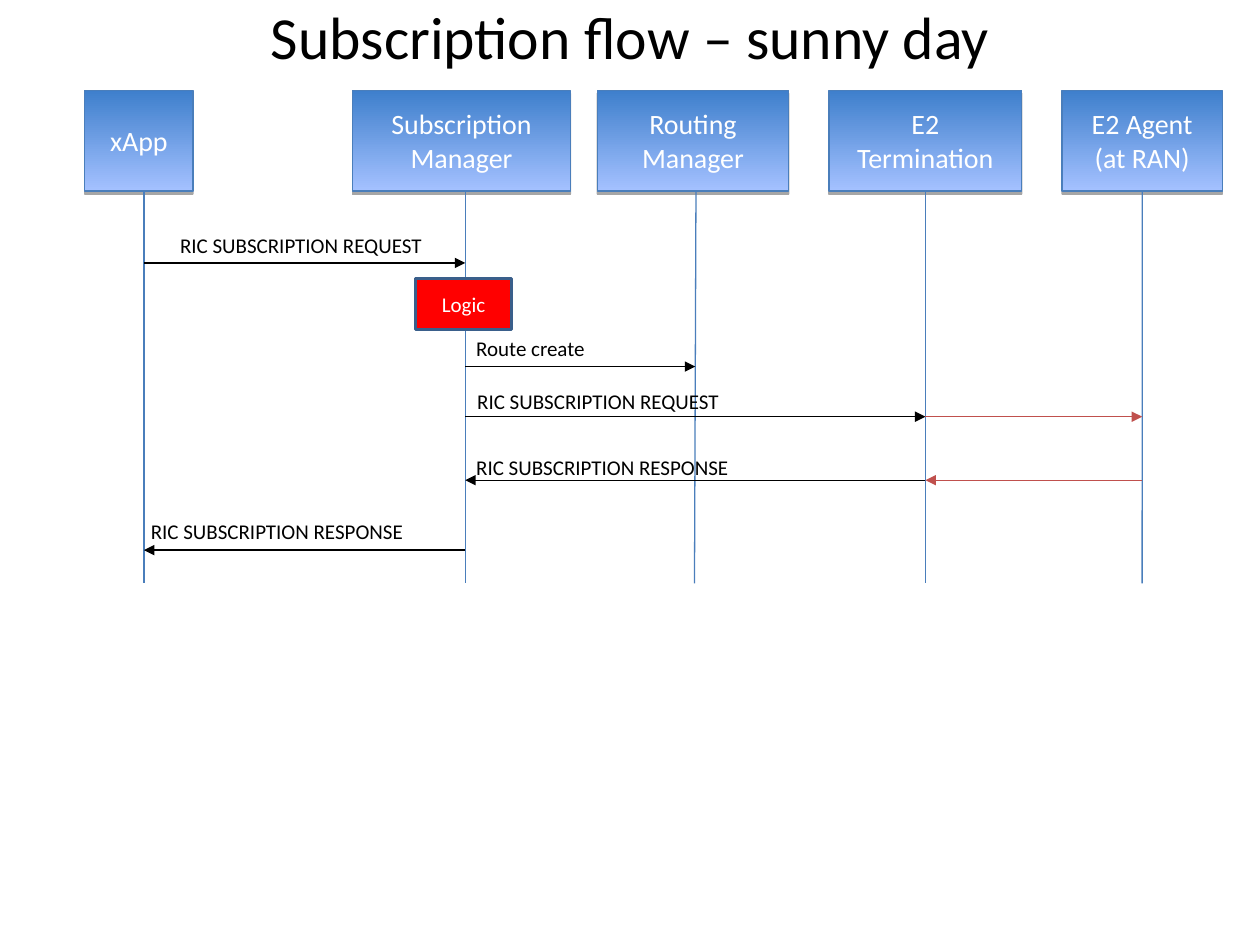
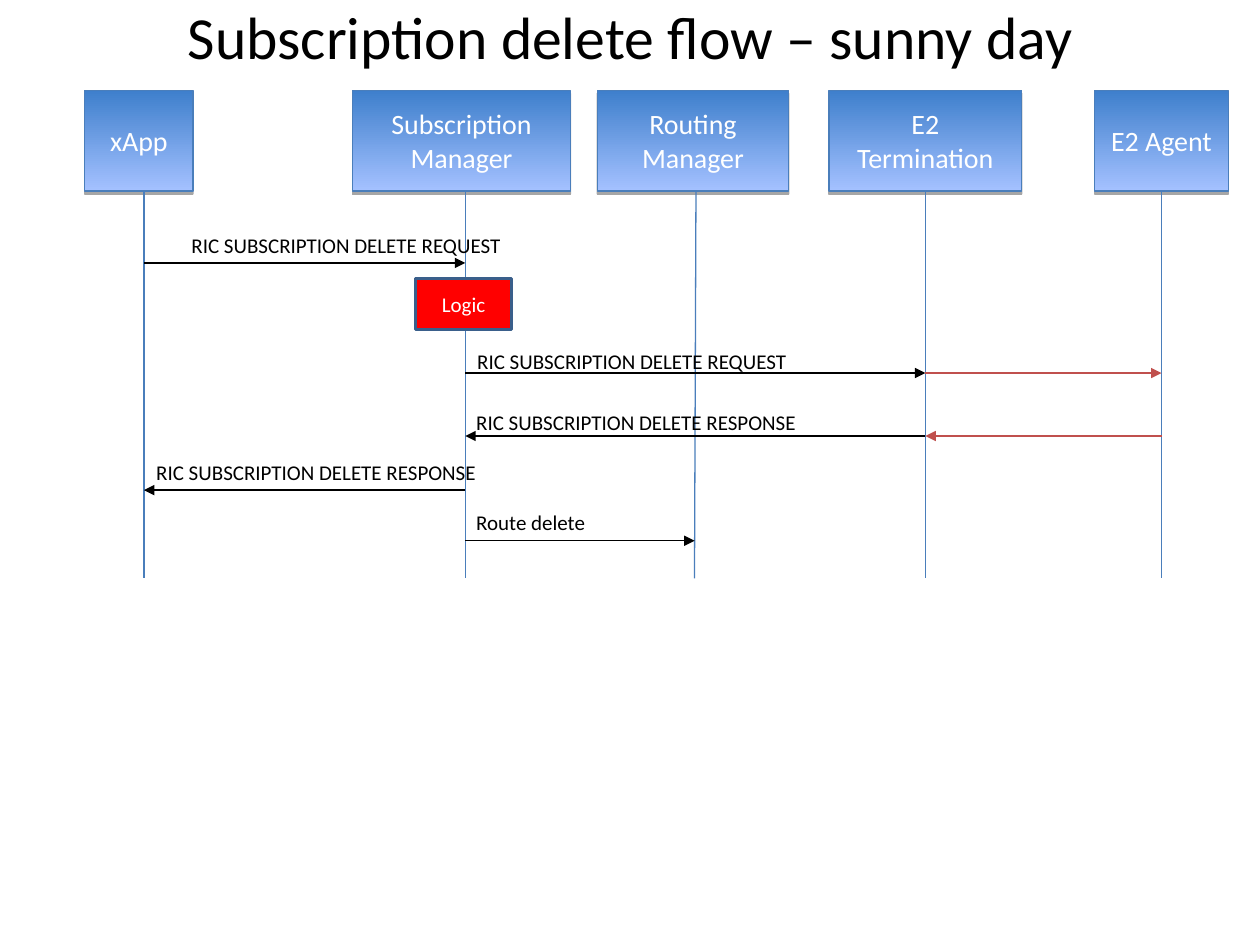
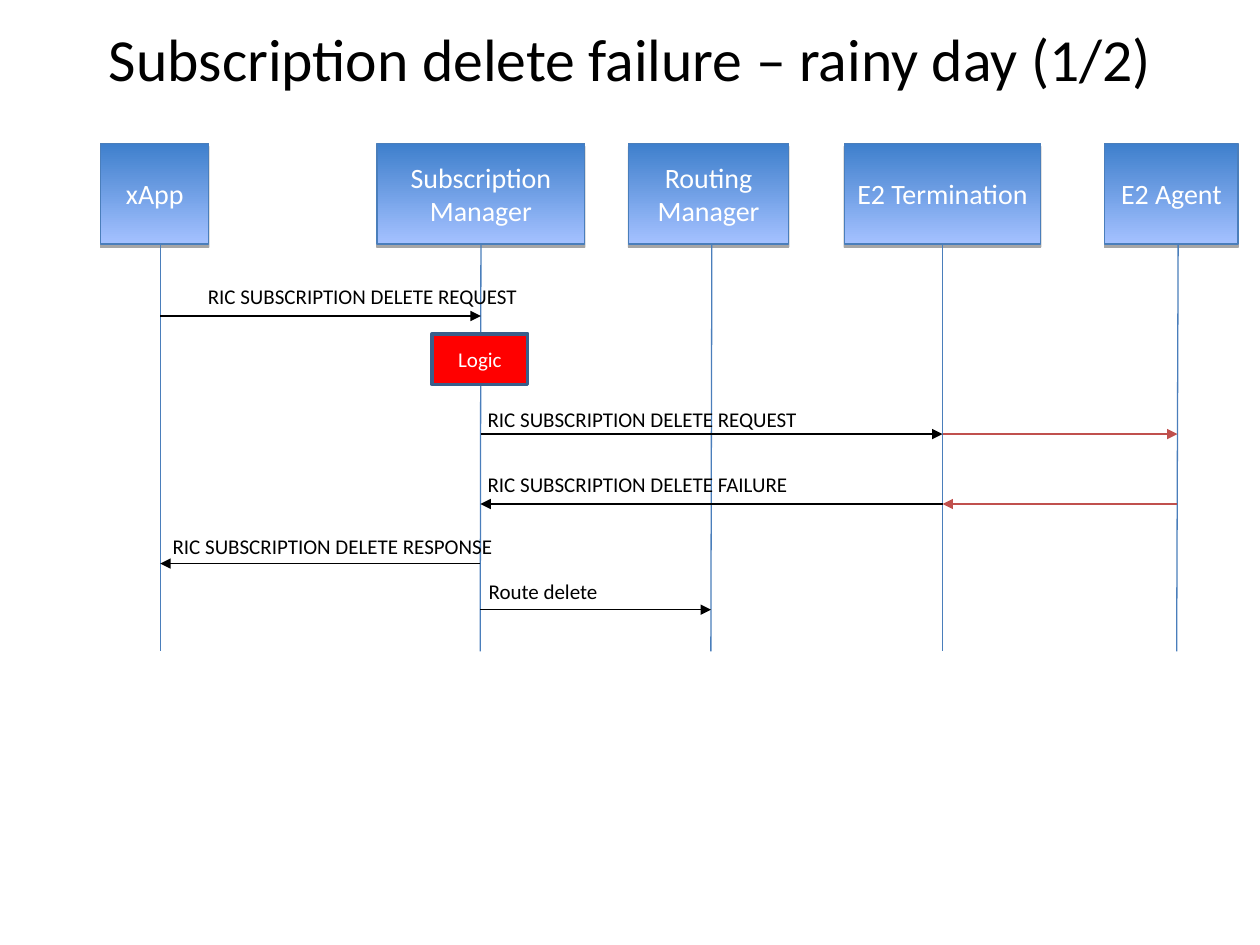
from dataclasses import dataclass
from itertools import pairwise
from typing import Optional

from lxml.etree import SubElement
from pptx import Presentation
from pptx.dml.color import RGBColor
from pptx.enum.shapes import MSO_CONNECTOR, MSO_SHAPE
from pptx.enum.text import MSO_ANCHOR, MSO_AUTO_SIZE, PP_ALIGN
from pptx.oxml.ns import qn
from pptx.util import Cm, Pt


@dataclass(frozen=True)
class Theme:
    font: str = "Calibri"
    title_size: float = 34.1
    header_size: float = 16
    label_size: float = 12
    text: str = "000000"
    on_fill: str = "FFFFFF"
    header_top: str = "3E7FCC"
    header_bottom: str = "A4C1FF"
    lifeline: str = "4A7EBB"
    logic_fill: str = "FF0000"
    logic_line: str = "3A5F8B"
    internal: str = "000000"
    external: str = "C0504D"
    line_width: float = 0.75


THEME = Theme()
HEADER_HEIGHT = 2.03
LABEL_HEIGHT = 0.76
BOTTOM_SIDE = 2
XAPP, SUB, ROUTING, TERM, AGENT = range(5)


# All lengths below are in centimetres
@dataclass(frozen=True)
class Actor:
    name: str
    left: float
    width: float
    line_x: Optional[float] = None  # None: lifeline joins the middle of the header
    foot_x: Optional[float] = None  # None: lifeline is vertical

    @property
    def head(self) -> float:
        return self.left + self.width / 2 if self.line_x is None else self.line_x

    @property
    def foot(self) -> float:
        return self.head if self.foot_x is None else self.foot_x


@dataclass(frozen=True)
class Message:
    label: str
    route: tuple[int, ...]  # actors the message passes, in order
    y: float
    left: float
    top: float
    width: float


@dataclass(frozen=True)
class Flow:
    title: str
    title_top: float
    header_top: float
    foot_y: float
    logic: tuple[float, float]
    actors: tuple[Actor, ...]
    messages: tuple[Message, ...]

    @property
    def header_bottom(self) -> float:
        return self.header_top + HEADER_HEIGHT

    def x_at(self, actor: int, y: float) -> float:
        """Horizontal place of an actor's lifeline at height y."""
        a = self.actors[actor]
        share = (y - self.header_bottom) / (self.foot_y - self.header_bottom)
        return a.head + share * (a.foot - a.head)


SUNNY_ACTORS = (
    Actor("xApp", 1.71, 2.18, 2.9),
    Actor("Subscription Manager", 7.11, 4.39, 9.38),
    Actor("Routing\nManager", 12.04, 3.86, 14.03, 14),
    Actor("E2 Termination", 16.71, 3.89),
)
RAINY_ACTORS = (
    Actor("xApp", 2.03, 2.18, 3.23),
    Actor("Subscription Manager", 7.6, 4.19, foot_x=9.68),
    Actor("Routing\nManager", 12.67, 3.23, 14.35, 14.33),
    Actor("E2 Termination", 17.02, 3.96),
    Actor("E2 Agent", 22.27, 2.69, 23.75, 23.72),
)

REQUEST = "RIC SUBSCRIPTION REQUEST"
RESPONSE = "RIC SUBSCRIPTION RESPONSE"
DELETE_REQUEST = "RIC SUBSCRIPTION DELETE REQUEST"
DELETE_RESPONSE = "RIC SUBSCRIPTION DELETE RESPONSE"
DELETE_FAILURE = "RIC SUBSCRIPTION DELETE FAILURE"

FLOWS = (
    Flow(
        "Subscription flow – sunny day", 0.12, 1.82, 11.76, (8.38, 5.62),
        SUNNY_ACTORS + (Actor("E2 Agent\n(at RAN)", 21.41, 3.23),),
        (
            Message(REQUEST, (XAPP, SUB), 5.3, 3.38, 4.57, 5.8),
            Message("Route create", (SUB, ROUTING), 7.39, 9.35, 6.63, 3.76),
            Message(REQUEST, (SUB, TERM, AGENT), 8.4, 9.37, 7.7, 6.68),
            Message(RESPONSE, (AGENT, TERM, SUB), 9.68, 9.35, 9.04, 6.96),
            Message(RESPONSE, (SUB, XAPP), 11.09, 2.79, 10.33, 6.88),
        ),
    ),
    Flow(
        "Subscription delete flow – sunny day", 0.12, 1.82, 11.66, (8.38, 5.62),
        SUNNY_ACTORS + (Actor("E2 Agent", 22.07, 2.69),),
        (
            Message(DELETE_REQUEST, (XAPP, SUB), 5.3, 3.61, 4.57, 7.3),
            Message(DELETE_REQUEST, (SUB, TERM, AGENT), 7.52, 9.37, 6.91, 8.41),
            Message(DELETE_RESPONSE, (AGENT, TERM, SUB), 8.79, 9.35, 8.13, 8.66),
            Message(DELETE_RESPONSE, (SUB, XAPP), 9.88, 2.9, 9.14, 8.69),
            Message("Route delete", (SUB, ROUTING), 10.9, 9.35, 10.14, 3.76),
        ),
    ),
    Flow(
        "Subscription delete failure – rainy day (1/2)", 0.56, 2.89, 13.13, (8.71, 6.73),
        RAINY_ACTORS,
        (
            Message(DELETE_REQUEST, (XAPP, SUB), 6.37, 3.94, 5.59, 7.3),
            Message(DELETE_REQUEST, (SUB, TERM, AGENT), 8.75, 9.58, 8.08, 8.43),
            Message(DELETE_FAILURE, (AGENT, TERM, SUB), 10.16, 9.58, 9.39, 8.23),
            Message(DELETE_RESPONSE, (SUB, XAPP), 11.36, 3.23, 10.63, 8.79),
            Message("Route delete", (SUB, ROUTING), 12.29, 9.6, 11.53, 3.51),
        ),
    ),
)


def rgb(value: str) -> RGBColor:
    return RGBColor.from_string(value)


def set_text(s, text: str, size: float, color: str, align=PP_ALIGN.LEFT) -> None:
    s.text_frame.text = text
    for p in s.text_frame.paragraphs:
        p.alignment = align
        for r in p.runs:
            r.font.name = THEME.font
            r.font.size = Pt(size)
            r.font.color.rgb = rgb(color)


def add_title(slide, text: str, top: float) -> None:
    s = slide.shapes.title
    s.left, s.top, s.width, s.height = Cm(1.27), Cm(top), Cm(22.86), Cm(1.47)
    set_text(s, text, THEME.title_size, THEME.text, PP_ALIGN.CENTER)
    tf = s.text_frame
    tf.auto_size = MSO_AUTO_SIZE.NONE
    tf.vertical_anchor = MSO_ANCHOR.MIDDLE
    tf.paragraphs[0].line_spacing = 0.8


def add_box(slide, text: str, left: float, top: float, width: float, height: float,
            size: float, line: str, line_width: float):
    s = slide.shapes.add_shape(MSO_SHAPE.RECTANGLE, Cm(left), Cm(top), Cm(width), Cm(height))
    s.shadow.inherit = False
    s.line.color.rgb = rgb(line)
    s.line.width = Pt(line_width)
    set_text(s, text, size, THEME.on_fill, PP_ALIGN.CENTER)
    s.text_frame.vertical_anchor = MSO_ANCHOR.MIDDLE
    return s


def add_header(slide, actor: Actor, top: float):
    s = add_box(slide, actor.name, actor.left, top, actor.width, HEADER_HEIGHT,
                THEME.header_size, THEME.lifeline, THEME.line_width)
    s.fill.gradient()
    s.fill.gradient_angle = 270
    for stop, color in zip(s.fill.gradient_stops, (THEME.header_top, THEME.header_bottom)):
        stop.color.rgb = rgb(color)
    # Drop shadow straight below
    effects = s._element.spPr.find(qn("a:effectLst"))
    shadow = SubElement(effects, qn("a:outerShdw"), blurRad="0", dist=str(Pt(1.8)),
                        dir="5400000", rotWithShape="0")
    color = SubElement(shadow, qn("a:srgbClr"), val="000000")
    SubElement(color, qn("a:alpha"), val="35000")
    return s


def add_line(slide, x1: float, y1: float, x2: float, y2: float, color: str,
             arrow: bool = False):
    s = slide.shapes.add_connector(MSO_CONNECTOR.STRAIGHT, Cm(x1), Cm(y1), Cm(x2), Cm(y2))
    s.line.color.rgb = rgb(color)
    s.line.width = Pt(THEME.line_width)
    if arrow:
        SubElement(s.line._get_or_add_ln(), qn("a:tailEnd"), type="triangle")
    SubElement(s._element.spPr, qn("a:effectLst"))
    return s


def add_actor(slide, flow: Flow, actor: Actor) -> None:
    header = add_header(slide, actor, flow.header_top)
    line = add_line(slide, actor.head, flow.header_bottom, actor.foot, flow.foot_y,
                    THEME.lifeline)
    if actor.line_x is None:
        line.begin_connect(header, BOTTOM_SIDE)


def add_message(slide, flow: Flow, m: Message) -> None:
    for start, end in pairwise(m.route):
        color = THEME.external if AGENT in (start, end) else THEME.internal
        add_line(slide, flow.x_at(start, m.y), m.y, flow.x_at(end, m.y), m.y, color, arrow=True)
    s = slide.shapes.add_textbox(Cm(m.left), Cm(m.top), Cm(m.width), Cm(LABEL_HEIGHT))
    set_text(s, m.label, THEME.label_size, THEME.text)
    s.text_frame.word_wrap = True
    s.text_frame.auto_size = MSO_AUTO_SIZE.SHAPE_TO_FIT_TEXT


def add_flow(prs, flow: Flow) -> None:
    slide = prs.slides.add_slide(prs.slide_layouts[5])
    add_title(slide, flow.title, flow.title_top)
    for actor in flow.actors:
        add_actor(slide, flow, actor)
    # Processing step on the subscription manager's lifeline
    logic = add_box(slide, "Logic", *flow.logic, 1.93, 1.02,
                    THEME.label_size, THEME.logic_line, 2)
    logic.fill.solid()
    logic.fill.fore_color.rgb = rgb(THEME.logic_fill)
    for message in flow.messages:
        add_message(slide, flow, message)


def main() -> None:
    prs = Presentation()
    prs.slide_width, prs.slide_height = Cm(25.4), Cm(19.05)
    for flow in FLOWS:
        add_flow(prs, flow)
    prs.save("out.pptx")


if __name__ == "__main__":
    main()
